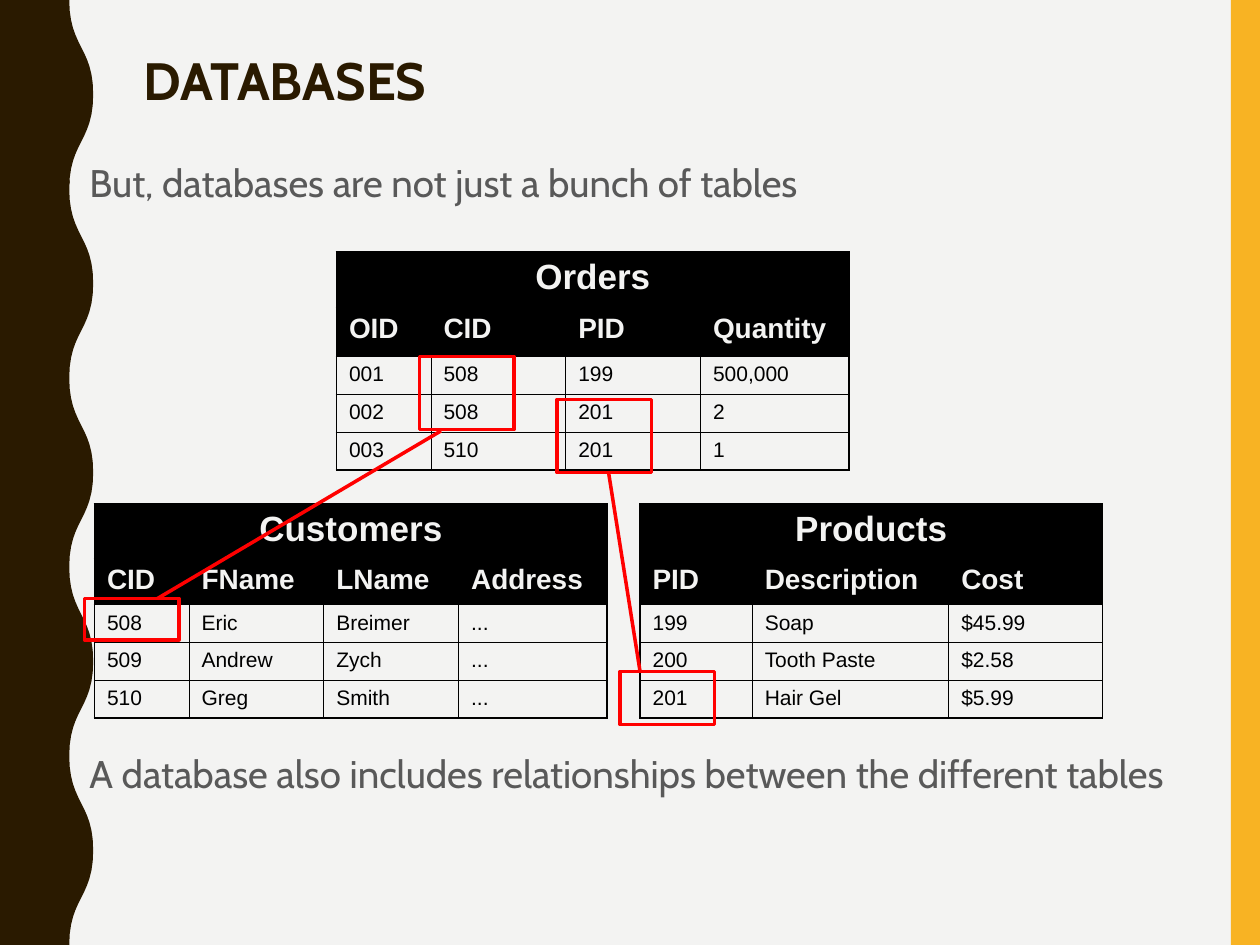
from lxml import etree
from pptx import Presentation, util as u
from pptx.dml.color import RGBColor
from pptx.enum import shapes, text
from pptx.oxml import ns

BROWN = RGBColor(0x2A, 0x1A, 0x00)
GOLD = RGBColor(0xF8, 0xB3, 0x23)
PALE = RGBColor(0xF3, 0xF3, 0xF2)
GRAY = RGBColor(0x59, 0x59, 0x59)
BLACK = RGBColor(0, 0, 0)
RED = RGBColor(0xFF, 0, 0)

TITLE = dict(name="Cabin", size=u.Pt(30), bold=True)
BODY = dict(name="Cabin", size=u.Pt(22), bold=False)
HEAD = dict(name="Arial", size=u.Pt(20), bold=True)
LABEL = dict(name="Arial", size=u.Pt(16), bold=True)
VALUE = dict(name="Arial", size=u.Pt(12), bold=False)
THIN, THICK = 0.45, 1.08


def inch(*nums):
    return [u.Inches(n) for n in nums]


def style(font, form, color):
    for key, val in form.items():
        setattr(font, key, val)
    font.color.rgb = color


def place(item, box):
    for key, val in zip(("left", "top", "width", "height"), inch(*box)):
        setattr(item, key, val)


def add(node, tag, **attrs):
    return etree.SubElement(node, ns.qn(tag), attrs)


def solid(shape, color):
    shape.shadow.inherit = False
    shape.fill.solid()
    shape.fill.fore_color.rgb = color
    shape.line.fill.background()


def to_back(shape):
    shape.element.getparent().insert(2, shape.element)


def wave(slide, box):
    left, top, wide, high = box
    dip, half, steps = 0.55, 0.75, 12
    points = []
    for k in range(round(high / half)):
        for i in range(1, steps + 1):
            t = i / steps
            rise = 3 * t**2 - 2 * t**3
            if k % 2:
                rise = 1 - rise
            fall = k + 1.5 * t - 1.5 * t**2 + t**3
            points.append(inch(left + dip + (wide - dip) * rise, top + half * fall))
    form = slide.shapes.build_freeform(*inch(left + dip, top))
    form.add_line_segments(points + [inch(left, top + high), inch(left, top)])
    shape = form.convert_to_shape()
    solid(shape, BROWN)
    to_back(shape)


def bar(slide, box):
    shape = slide.shapes.add_shape(shapes.MSO_SHAPE.RECTANGLE, *inch(*box))
    solid(shape, GOLD)
    to_back(shape)


def title(slide, box, words):
    item = slide.shapes.title
    place(item, box)
    frame = item.text_frame
    frame.text = words
    frame.auto_size = text.MSO_AUTO_SIZE.NONE
    frame.vertical_anchor = text.MSO_ANCHOR.TOP
    para = frame.paragraphs[0]
    para.alignment = text.PP_ALIGN.LEFT
    para.line_spacing = 0.9
    style(para.font, TITLE, BROWN)


def body(slide, box, lines, gap):
    item = slide.placeholders[1]
    place(item, box)
    frame = item.text_frame
    frame.text = "\n".join(lines)
    frame.auto_size = text.MSO_AUTO_SIZE.NONE
    for i, para in enumerate(frame.paragraphs):
        para.line_spacing = 0.9
        para.space_before = u.Pt(gap if i else 0)
        props = para._p.get_or_add_pPr()
        props.set("marL", str(u.Inches(0.25)))
        props.set("indent", str(u.Inches(-0.25)))
        add(add(props, "a:buClr"), "a:srgbClr", val=str(BROWN))
        add(props, "a:buChar", char="•")
        style(para.font, BODY, GRAY)


def border(cell, edges):
    props = cell._tc.get_or_add_tcPr()
    for i, (side, outer) in enumerate(edges):
        line = etree.Element(ns.qn("a:ln" + side), w=str(u.Pt(THICK if outer else THIN)))
        add(add(line, "a:solidFill"), "a:srgbClr", val=str(BLACK))
        props.insert(i, line)


def grid(slide, spot, cols, tops, name, rows):
    highs = tops + [0.3] * (len(rows) - 1)
    data = [[name] + [""] * (len(cols) - 1)] + rows
    frame = slide.shapes.add_table(
        len(data), len(cols), *inch(*spot, sum(cols), sum(highs)))
    table = frame.table
    table.first_row = table.horz_banding = False
    for col, wide in zip(table.columns, cols):
        col.width = u.Inches(wide)
    for row, high in zip(table.rows, highs):
        row.height = u.Inches(high)
    for r, row in enumerate(data):
        for c, words in enumerate(row):
            cell = table.cell(r, c)
            cell.text = words
            para = cell.text_frame.paragraphs[0]
            if r < 2:
                cell.fill.solid()
                cell.fill.fore_color.rgb = BLACK
            else:
                cell.fill.background()
            style(para.font, (HEAD, LABEL, VALUE)[min(r, 2)], PALE if r < 2 else BLACK)
            if r == 0:
                para.alignment = text.PP_ALIGN.CENTER
            border(cell, (("L", c == 0), ("R", r == 0 or c == len(cols) - 1),
                          ("T", r == 0), ("B", r == len(data) - 1)))
    table.cell(0, 0).merge(table.cell(0, len(cols) - 1))


def link(slide, boxes, start, end):
    group = slide.shapes.add_group_shape()
    for box in boxes:
        mark = group.shapes.add_shape(shapes.MSO_SHAPE.RECTANGLE, *inch(*box))
        mark.shadow.inherit = False
        mark.fill.background()
        mark.line.color.rgb = RED
        mark.line.width = u.Pt(2)
    line = group.shapes.add_connector(
        shapes.MSO_CONNECTOR.STRAIGHT, *inch(*start, *end))
    line.line.color.rgb = RED
    line.line.width = u.Pt(2)
    add(line.element.spPr, "a:effectLst")


def main():
    deck = Presentation()
    deck.slide_width, deck.slide_height = inch(10, 7.5)
    slide = deck.slides.add_slide(deck.slide_layouts[1])
    back = slide.background.fill
    back.solid()
    back.fore_color.rgb = PALE
    wave(slide, (0, 0, 0.74, 7.5))
    bar(slide, (9.77, 0, 0.23, 7.5))
    title(slide, (1.04, 0.39, 8.7, 0.83), "DATABASES")
    body(slide, (0.36, 1.25, 9.1, 5.92),
         ["But, databases are not just a bunch of tables",
          "A database also includes relationships between the different tables"], 314)
    four = [0.75, 1.07, 1.07, 1.18]
    grid(slide, (0.75, 4), four, [0.43, 0.37], "Customers", [
        ["CID", "FName", "LName", "Address"],
        ["508", "Eric", "Breimer", "..."],
        ["509", "Andrew", "Zych", "..."],
        ["510", "Greg", "Smith", "..."]])
    grid(slide, (5.08, 4), [0.89, 1.56, 1.22], [0.43, 0.37], "Products", [
        ["PID", "Description", "Cost"],
        ["199", "Soap", "$45.99"],
        ["200", "Tooth Paste", "$2.58"],
        ["201", "Hair Gel", "$5.99"]])
    grid(slide, (2.67, 2), four, [0.44, 0.39], "Orders", [
        ["OID", "CID", "PID", "Quantity"],
        ["001", "508", "199", "500,000"],
        ["002", "508", "201", "2"],
        ["003", "510", "201", "1"]])
    link(slide, [(3.33, 2.83, 0.75, 0.58), (0.67, 4.75, 0.75, 0.33)],
         (1.25, 4.75), (3.5, 3.42))
    link(slide, [(4.42, 3.17, 0.75, 0.58), (4.92, 5.33, 0.75, 0.42)],
         (5.08, 5.33), (4.83, 3.75))
    deck.save("out.pptx")


if __name__ == "__main__":
    main()
